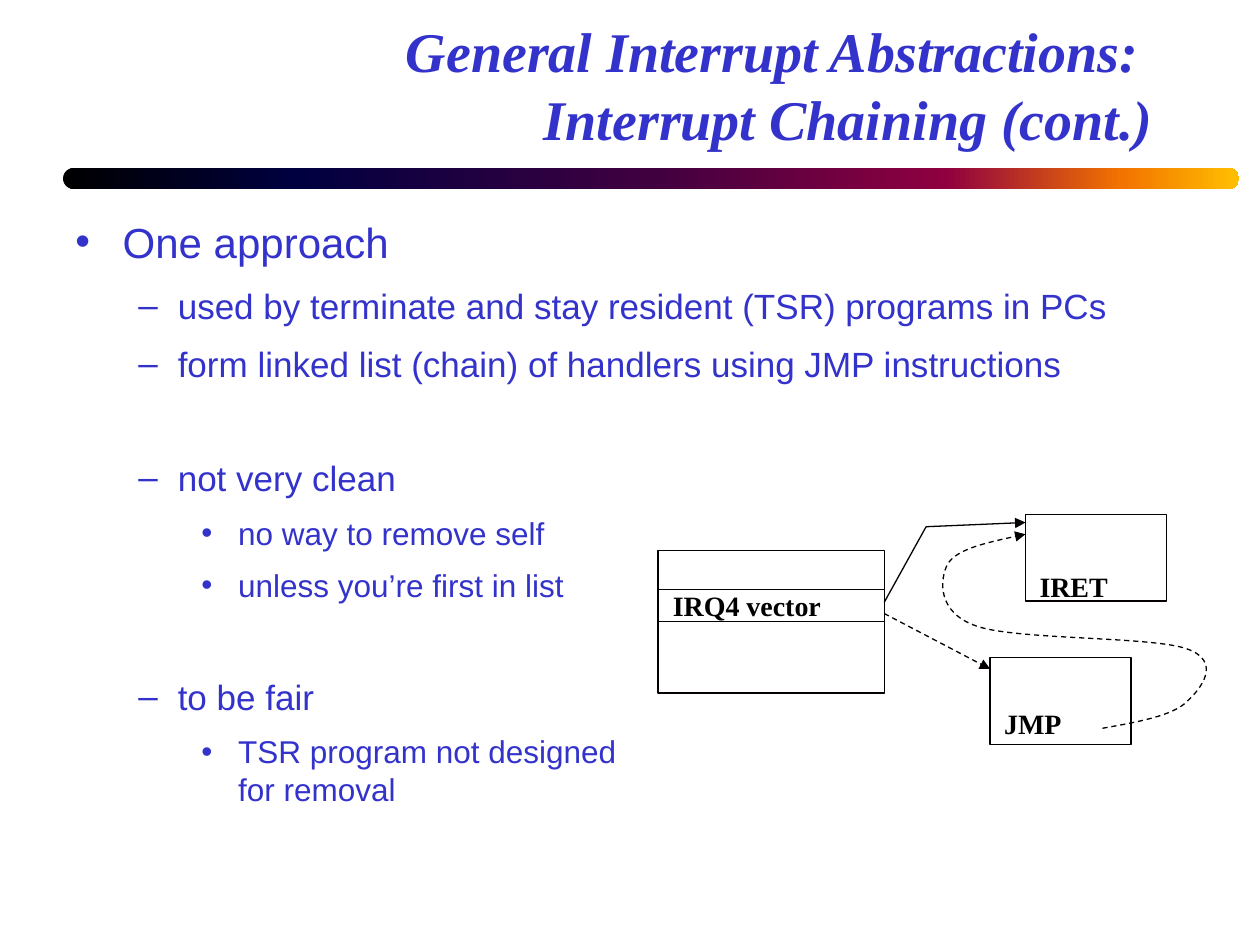
from pptx import Presentation, util as u
from pptx.dml.color import RGBColor
from pptx.enum import dml, shapes, text
from pptx.oxml import ns
from lxml import etree

Pt = u.Pt
THEME = {
    "ink": "3333CC", "line": "050000", "black": "000000", "weight": 0.75,
    "body": "Arial", "serif": "Times New Roman",
    "title": 32, "label": 16, "levels": (24, 20, 18), "lead": 1.15, "gap": 0.2,
    "bar": ((0, "000000"), (20, "000040"), (50, "400040"),
            (75, "8F0040"), (90, "F27300"), (100, "FFBF00")),
}
TITLE = "General Interrupt Abstractions: \vInterrupt Chaining (cont.)"
POINTS = [
    (0, "One approach", -3),
    (1, "used by terminate and stay resident (TSR) programs in PCs", 0),
    (1, "form linked list (chain) of handlers using JMP instructions", 0),
    (1, "not very clean", 32),
    (2, "no way to remove self", 0),
    (2, "unless you\u2019re first in list", 0),
    (1, "to be fair", 32),
    (2, "TSR program not designed\vfor removal", 0),
]
INDENTS = ((27, -27, "\u2022"), (58.5, -22.5, "\u2013"), (93, -21, "\u2022"))
BOXES = [
    ((376, 314.5, 129.3, 81.5), "IRQ4 vector", (384.5, 336.2, 85.7, 19.4)),
    ((586, 293.8, 80.6, 49.7), "IRET", (594, 325.4, 39.6, 19.4)),
    ((565.8, 375.8, 80.6, 49.7), "JMP", (573.8, 403.9, 33.1, 19.4)),
]
LINES = [
    ((376, 337), (505.3, 337), False, False),
    ((376, 355), (505.3, 355), False, False),
    ((505.3, 344.2), (529.2, 301), False, False),
    ((529.2, 301), (586, 298.6), False, True),
    ((505.3, 350.6), (565.8, 382.3), True, True),
]
CURVE = [
    (630, 416.2), (650.2, 412.6), (670.3, 409), (678.2, 401),
    (686.2, 393.8), (698.7, 378), (678.2, 370.8),
    (658, 363.6), (580.3, 365.8), (558, 357.8),
    (535.2, 350), (537.1, 331.2), (541.4, 322.6),
    (546.5, 313.9), (566, 309.6), (586, 305.3),
]


def dress(item, values):
    for name, value in values.items():
        setattr(item, name, value)


def node(parent, tag, **attrs):
    return etree.SubElement(parent, ns.qn(tag), attrs)


def tint(hue):
    return RGBColor.from_string(hue)


def style(para, face, size, hue, **more):
    for run in para.runs:
        dress(run.font, {"name": face, "size": Pt(size), **more})
        run.font.color.rgb = tint(hue)


def stroke(item, dash=False, arrow=False):
    item.line.color.rgb = tint(THEME["line"])
    item.line.width = Pt(THEME["weight"])
    if dash:
        item.line.dash_style = dml.MSO_LINE.DASH
    if arrow:
        node(item.line._get_or_add_ln(), "a:tailEnd", type="triangle")


def frame(area, inset=(7.2, 3.6), **more):
    side, top = map(Pt, inset)
    box = slide.shapes.add_textbox(*map(Pt, area)).text_frame
    dress(box, {"margin_left": side, "margin_right": side, "margin_top": top,
                "margin_bottom": top, "word_wrap": True, **more})
    return box


deck = Presentation()
dress(deck, {"slide_width": Pt(720), "slide_height": Pt(540)})
slide = deck.slides.add_slide(deck.slide_layouts[6])

bar = slide.shapes.add_shape(shapes.MSO_SHAPE.ROUNDED_RECTANGLE,
                             *map(Pt, (36, 96, 672, 12)))
bar.shadow.inherit = False
bar.adjustments[0] = 0.5
bar.line.fill.background()
bar.fill.gradient()
bar.fill.gradient_angle = 0
stops = bar._element.spPr.find(".//" + ns.qn("a:gsLst"))
for old in list(stops):
    stops.remove(old)
for spot, hue in THEME["bar"]:
    node(node(stops, "a:gs", pos=str(spot * 1000)), "a:srgbClr", val=hue)

body = frame((36, 120, 666, 360))
for i, (level, words, extra) in enumerate(POINTS):
    para = body.paragraphs[0] if i == 0 else body.add_paragraph()
    size = THEME["levels"][level]
    gap = size * THEME["lead"] * THEME["gap"]
    dress(para, {"text": words, "level": level,
                 "space_before": Pt(gap + extra), "space_after": Pt(gap)})
    style(para, THEME["body"], size, THEME["ink"])
    left, hang, mark = INDENTS[level]
    props = para._p.get_or_add_pPr()
    props.set("marL", str(Pt(left)))
    props.set("indent", str(Pt(hang)))
    node(node(props, "a:buClr"), "a:srgbClr", val=THEME["ink"])
    node(props, "a:buFont", typeface=THEME["body"])
    node(props, "a:buChar", char=mark)

head = frame((54, 18, 612, 72), vertical_anchor=text.MSO_ANCHOR.BOTTOM).paragraphs[0]
dress(head, {"text": TITLE, "alignment": text.PP_ALIGN.RIGHT})
style(head, THEME["serif"], THEME["title"], THEME["ink"], bold=True, italic=True)

for area, words, place in BOXES:
    box = slide.shapes.add_shape(shapes.MSO_SHAPE.RECTANGLE, *map(Pt, area))
    box.shadow.inherit = False
    box.fill.background()
    stroke(box)
    label = frame(place, (0, 0), word_wrap=False).paragraphs[0]
    label.text = words
    style(label, THEME["serif"], THEME["label"], THEME["black"], bold=True)

for start, end, dash, arrow in LINES:
    link = slide.shapes.add_connector(shapes.MSO_CONNECTOR.STRAIGHT,
                                      *map(Pt, start + end))
    stroke(link, dash, arrow)
    node(link._element.spPr, "a:effectLst")

dots = [(Pt(x), Pt(y)) for x, y in CURVE]
pen = slide.shapes.build_freeform(*dots[0])
pen.add_line_segments(dots[1:], close=False)
loop = pen.convert_to_shape()
loop.shadow.inherit = False
loop.fill.background()
stroke(loop, True, True)
route = loop._element.spPr.find(".//" + ns.qn("a:path"))
legs = route.findall(ns.qn("a:lnTo"))
for i in range(0, len(legs), 3):
    bend = node(route, "a:cubicBezTo")
    for leg in legs[i:i + 3]:
        bend.append(leg[0])
        route.remove(leg)

deck.save("out.pptx")
